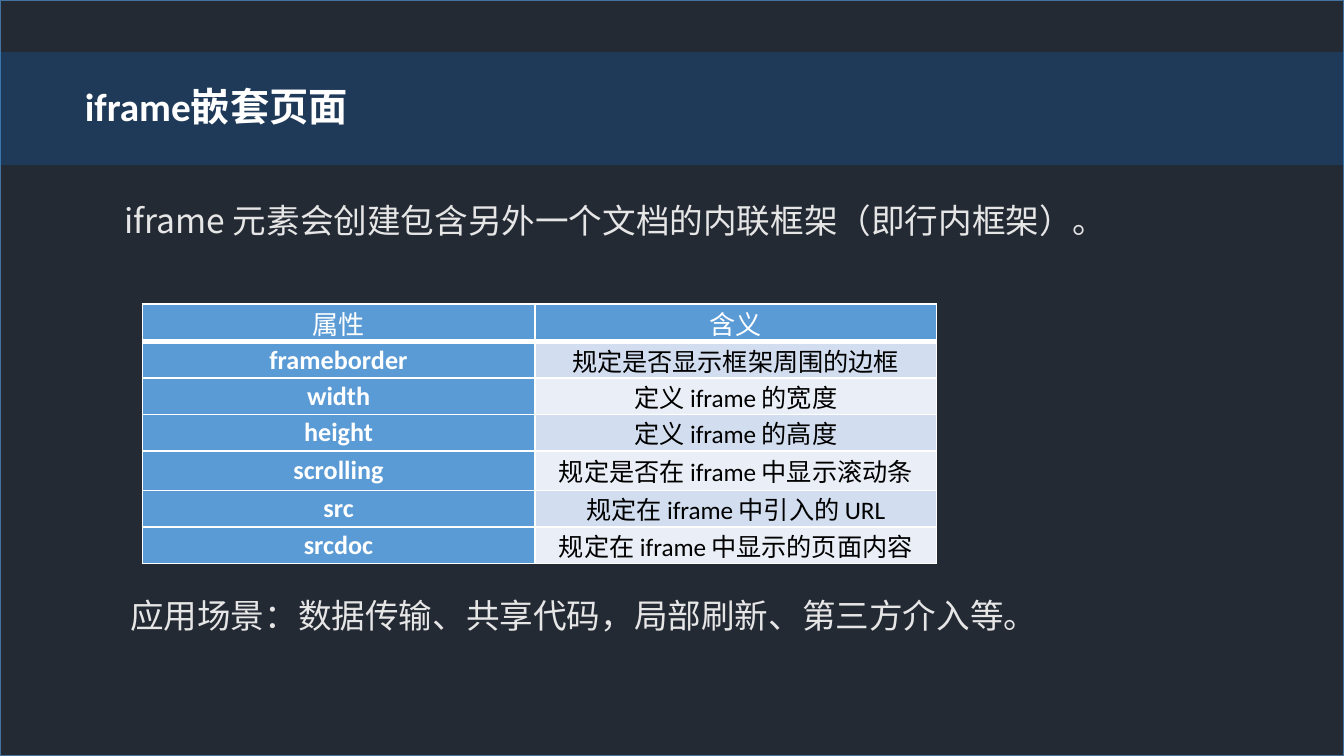
"""Build a slide that explains the iframe element and its attributes."""
from lxml import etree
from pptx import Presentation
from pptx.dml.color import RGBColor
from pptx.enum.shapes import MSO_SHAPE
from pptx.enum.text import MSO_ANCHOR, MSO_AUTO_SIZE, PP_ALIGN
from pptx.oxml.ns import qn
from pptx.util import Pt

RECTANGLE = MSO_SHAPE.RECTANGLE
TOP, MIDDLE = MSO_ANCHOR.TOP, MSO_ANCHOR.MIDDLE
LEFT, CENTER = PP_ALIGN.LEFT, PP_ALIGN.CENTER
NO_FIT = MSO_AUTO_SIZE.NONE

WIDTH, HEIGHT = 720, 405
LATIN, CHINESE = "Calibri", "Noto Sans CJK SC"
COLORS = {
    "background": "232A34", "outline": "43739E", "band": "137EEC",
    "white": "FFFFFF", "body": "E7E6E6", "black": "000000",
    "header": "5B9BD5", "odd": "D2DEEF", "even": "EAEFF7",
}
BODY_LINES = [
    ("iframe 元素会创建包含另外一个文档的内联框架（即行内框架）。", 23.5, 0),
    ("应用场景：数据传输、共享代码，局部刷新、第三方介入等。", 26.5, 190),
]
ATTRIBUTES = [
    ("属性", "含义"),
    ("frameborder", "规定是否显示框架周围的边框"),
    ("width", "定义 iframe 的宽度"),
    ("height", "定义 iframe 的高度"),
    ("scrolling", "规定是否在 iframe 中显示滚动条"),
    ("src", "规定在 iframe 中引入的 URL"),
    ("srcdoc", "规定在 iframe 中显示的页面内容"),
]
COLUMN_WIDTHS = [210.25, 215.25]
ROW_HEIGHTS = [18.75] * 4 + [21.25] + [18.75] * 2


def color(name):
    return RGBColor.from_string(COLORS[name])


def format_runs(para, size, font, color_name, bold=False):
    for span in para.runs:
        span.font.size = Pt(size)
        span.font.name = font
        span.font.bold = bold
        span.font.color.rgb = color(color_name)


def add_panel(page, top, height, fill, line=None, opacity=None):
    panel = page.shapes.add_shape(RECTANGLE, 0, Pt(top), Pt(WIDTH), Pt(height))
    panel.shadow.inherit = False
    panel.fill.solid()
    panel.fill.fore_color.rgb = color(fill)
    if opacity:
        tint = panel.fill._xPr.find(".//" + qn("a:srgbClr"))
        etree.SubElement(tint, qn("a:alpha")).set("val", str(opacity * 1000))
    if line:
        panel.line.color.rgb = color(line)
        panel.line.width = Pt(1)
    else:
        panel.line.fill.background()
    page.shapes.title._element.addprevious(panel._element)


def place(box, left, top, width, height):
    box.left, box.top, box.width, box.height = map(Pt, (left, top, width, height))
    frame = box.text_frame
    frame.word_wrap = True
    frame.auto_size = NO_FIT
    frame.vertical_anchor = TOP
    return frame


def fill_title(box):
    frame = place(box, 38.25, 40.25, 662.5, 32.5)
    frame.text = "iframe嵌套页面"
    frame.paragraphs[0].alignment = LEFT
    format_runs(frame.paragraphs[0], 21, LATIN, "white", True)


def fill_body(box):
    frame = place(box, 36, 103.75, 617, 259)
    frame.text = "\n".join(text for text, _, _ in BODY_LINES)
    for para, (_, indent, gap) in zip(frame.paragraphs, BODY_LINES):
        para.space_before = Pt(gap)
        format_runs(para, 18, CHINESE, "body")
        properties = para._p.get_or_add_pPr()
        properties.set("marL", str(Pt(indent)))
        properties.set("indent", "0")
        etree.SubElement(properties, qn("a:buNone"))


def set_borders(cell, bottom):
    properties = cell._tc.get_or_add_tcPr()
    for position, side in enumerate("LRTB"):
        border = etree.Element(qn("a:ln" + side))
        border.set("w", str(Pt(bottom if side == "B" else 1)))
        fill = etree.SubElement(border, qn("a:solidFill"))
        etree.SubElement(fill, qn("a:srgbClr")).set("val", COLORS["white"])
        properties.insert(position, border)


def fill_cell(cell, text, row, column):
    is_label = row == 0 or column == 0
    cell.text = text
    cell.vertical_anchor = MIDDLE
    cell.margin_left = cell.margin_right = Pt(8.5)
    cell.margin_top = cell.margin_bottom = 0
    cell.fill.solid()
    cell.fill.fore_color.rgb = color(
        "header" if is_label else "odd" if row % 2 else "even")
    para = cell.text_frame.paragraphs[0]
    para.alignment = CENTER
    format_runs(para, 14 if is_label else 13.5, LATIN,
                "white" if is_label else "black", row > 0 and column == 0)
    set_borders(cell, 1 if row else 3)


def add_attribute_table(page):
    table = page.shapes.add_table(
        len(ATTRIBUTES), len(COLUMN_WIDTHS), Pt(76.25), Pt(162.75),
        Pt(sum(COLUMN_WIDTHS)), Pt(sum(ROW_HEIGHTS))).table
    for column, width in zip(table.columns, COLUMN_WIDTHS):
        column.width = Pt(width)
    for row, height in zip(table.rows, ROW_HEIGHTS):
        row.height = Pt(height)
    for row, texts in enumerate(ATTRIBUTES):
        for column, text in enumerate(texts):
            fill_cell(table.cell(row, column), text, row, column)


def main():
    deck = Presentation()
    deck.slide_width, deck.slide_height = Pt(WIDTH), Pt(HEIGHT)
    page = deck.slides.add_slide(deck.slide_layouts[1])
    add_panel(page, 0, HEIGHT, "background", line="outline")
    add_panel(page, 28, 60.5, "band", opacity=20)
    fill_title(page.shapes.title)
    fill_body(page.placeholders[1])
    add_attribute_table(page)
    deck.save("out.pptx")


if __name__ == "__main__":
    main()
